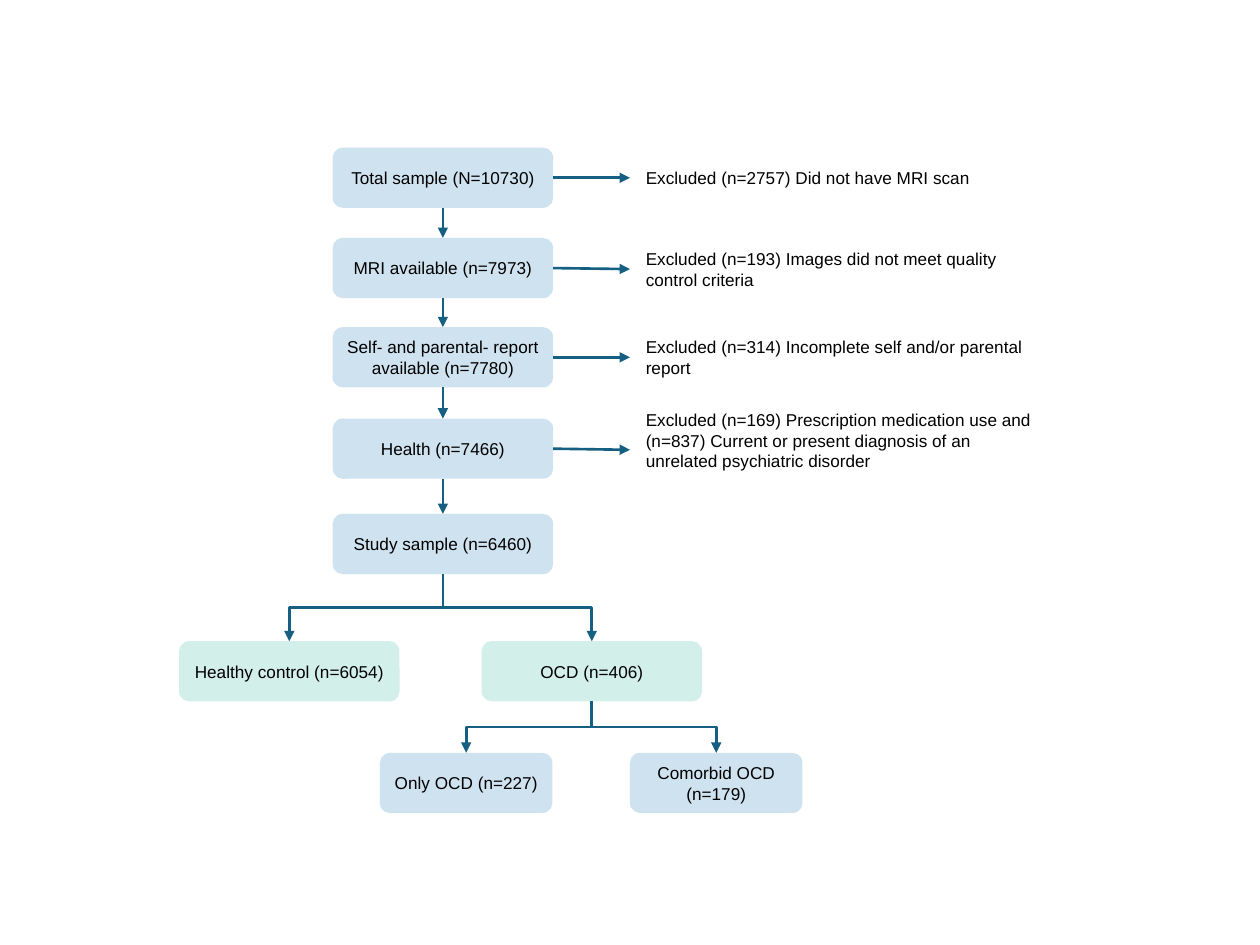
from dataclasses import dataclass

from lxml.etree import SubElement
from pptx import Presentation
from pptx.dml.color import RGBColor
from pptx.enum.shapes import MSO_CONNECTOR as Link, MSO_SHAPE as Shape
from pptx.enum.text import MSO_ANCHOR as Anchor, PP_ALIGN as Align
from pptx.oxml.ns import qn
from pptx.util import Pt

COLORS = {"blue": "CFE2EF", "green": "D2EFEA", "arrow": "156082", "text": "000000"}
FONT = {"name": "Arial", "size": Pt(9.8)}
BOX_H = 34.4
WIDE, NARROW, NOTE_W = 126, 98.6, 238.3
MAIN_X, NOTE_X = 190.1, 360
GROUP_Y, SUBGROUP_Y = 366.4, 430.2
TOP, LEFT, BOTTOM, RIGHT = range(4)


@dataclass
class Box:
    text: str
    x: float
    y: float
    w: float = WIDE
    h: float = BOX_H
    fill: str = "blue"


@dataclass
class Note:
    text: str
    y: float
    h: float = BOX_H
    anchor: Anchor = Anchor.MIDDLE


STEPS = [
    Box("Total sample (N=10730)", MAIN_X, 84.4),
    Box("MRI available (n=7973)", MAIN_X, 136),
    Box("Self- and parental- report available (n=7780)", MAIN_X, 187),
    Box("Health (n=7466)", MAIN_X, 239.2),
    Box("Study sample (n=6460)", MAIN_X, 293.7),
]
NOTES = [
    Note("Excluded (n=2757) Did not have MRI scan", 84.4),
    Note("Excluded (n=193) Images did not meet quality control criteria", 136.6),
    Note("Excluded (n=314) Incomplete self and/or parental report", 187),
    Note("Excluded (n=169) Prescription medication use and (n=837) Current or present "
         "diagnosis of an unrelated psychiatric disorder", 234, 46.1, Anchor.TOP),
]
CONTROL = Box("Healthy control (n=6054)", 102.3, GROUP_Y, fill="green")
OCD = Box("OCD (n=406)", 275.2, GROUP_Y, fill="green")
SUBGROUPS = [
    Box("Only OCD (n=227)", 217.1, SUBGROUP_Y, NARROW),
    Box("Comorbid OCD (n=179)", 360, SUBGROUP_Y, NARROW),
]


def write(s, text: str, align: Align, anchor: Anchor, side: float, top: float) -> None:
    tf = s.text_frame
    frame = {"word_wrap": True, "vertical_anchor": anchor,
             "margin_left": Pt(side), "margin_right": Pt(side),
             "margin_top": Pt(top), "margin_bottom": Pt(top)}
    for name, value in frame.items():
        setattr(tf, name, value)
    p = tf.paragraphs[0]
    p.alignment = align
    r = p.add_run()
    r.text = text
    for name, value in FONT.items():
        setattr(r.font, name, value)
    r.font.color.rgb = RGBColor.from_string(COLORS["text"])


def add_rounded(shapes, x: float, y: float, w: float, h: float):
    s = shapes.add_shape(Shape.ROUNDED_RECTANGLE, Pt(x), Pt(y), Pt(w), Pt(h))
    s.shadow.inherit = False
    s.line.fill.background()
    return s


def draw_box(shapes, box: Box):
    s = add_rounded(shapes, box.x, box.y, box.w, box.h)
    s.fill.solid()
    s.fill.fore_color.rgb = RGBColor.from_string(COLORS[box.fill])
    write(s, box.text, Align.CENTER, Anchor.MIDDLE, 6, 3.6)
    return s


def draw_note(shapes, note: Note):
    s = add_rounded(shapes, NOTE_X, note.y, NOTE_W, note.h)
    s.adjustments[0] = 0
    s.fill.background()
    write(s, note.text, Align.LEFT, note.anchor, 9, 0)
    return s


def style_arrow(c) -> None:
    c.line.width = Pt(1.5)
    c.line.color.rgb = RGBColor.from_string(COLORS["arrow"])
    SubElement(c.line._get_or_add_ln(), qn("a:tailEnd"), type="triangle")
    SubElement(c._element.spPr, qn("a:effectLst"))


def join(shapes, start, start_side: int, end, end_side: int) -> None:
    c = shapes.add_connector(Link.STRAIGHT, 0, 0, 0, 0)
    c.begin_connect(start, start_side)
    c.end_connect(end, end_side)
    style_arrow(c)


def branch(shapes, parent: Box, child: Box) -> None:
    """Draw an elbow that leaves the parent downwards: a turned horizontal one."""
    x1, y1 = parent.x + parent.w / 2, parent.y + parent.h
    x2, y2 = child.x + child.w / 2, child.y
    mid_x, mid_y = (x1 + x2) / 2, (y1 + y2) / 2
    half_w, half_h = (y2 - y1) / 2, abs(x2 - x1) / 2
    to_right = x2 > x1
    if to_right:
        half_w = -half_w
    c = shapes.add_connector(Link.ELBOW, Pt(mid_x - half_w), Pt(mid_y - half_h),
                             Pt(mid_x + half_w), Pt(mid_y + half_h))
    degrees = 270 if to_right else 90
    c._element.spPr.find(qn("a:xfrm")).set("rot", str(degrees * 60000))
    style_arrow(c)


def main() -> None:
    prs = Presentation()
    prs.slide_width, prs.slide_height = Pt(720), Pt(540)
    shapes = prs.slides.add_slide(prs.slide_layouts[6]).shapes

    steps = [draw_box(shapes, box) for box in STEPS]
    notes = [draw_note(shapes, note) for note in NOTES]
    for box in (CONTROL, OCD, *SUBGROUPS):
        draw_box(shapes, box)

    for step, following in zip(steps, steps[1:]):
        join(shapes, step, BOTTOM, following, TOP)
    for step, note in zip(steps, notes):
        join(shapes, step, RIGHT, note, LEFT)
    for group in (CONTROL, OCD):
        branch(shapes, STEPS[-1], group)
    for subgroup in SUBGROUPS:
        branch(shapes, OCD, subgroup)

    prs.save("out.pptx")


if __name__ == "__main__":
    main()
